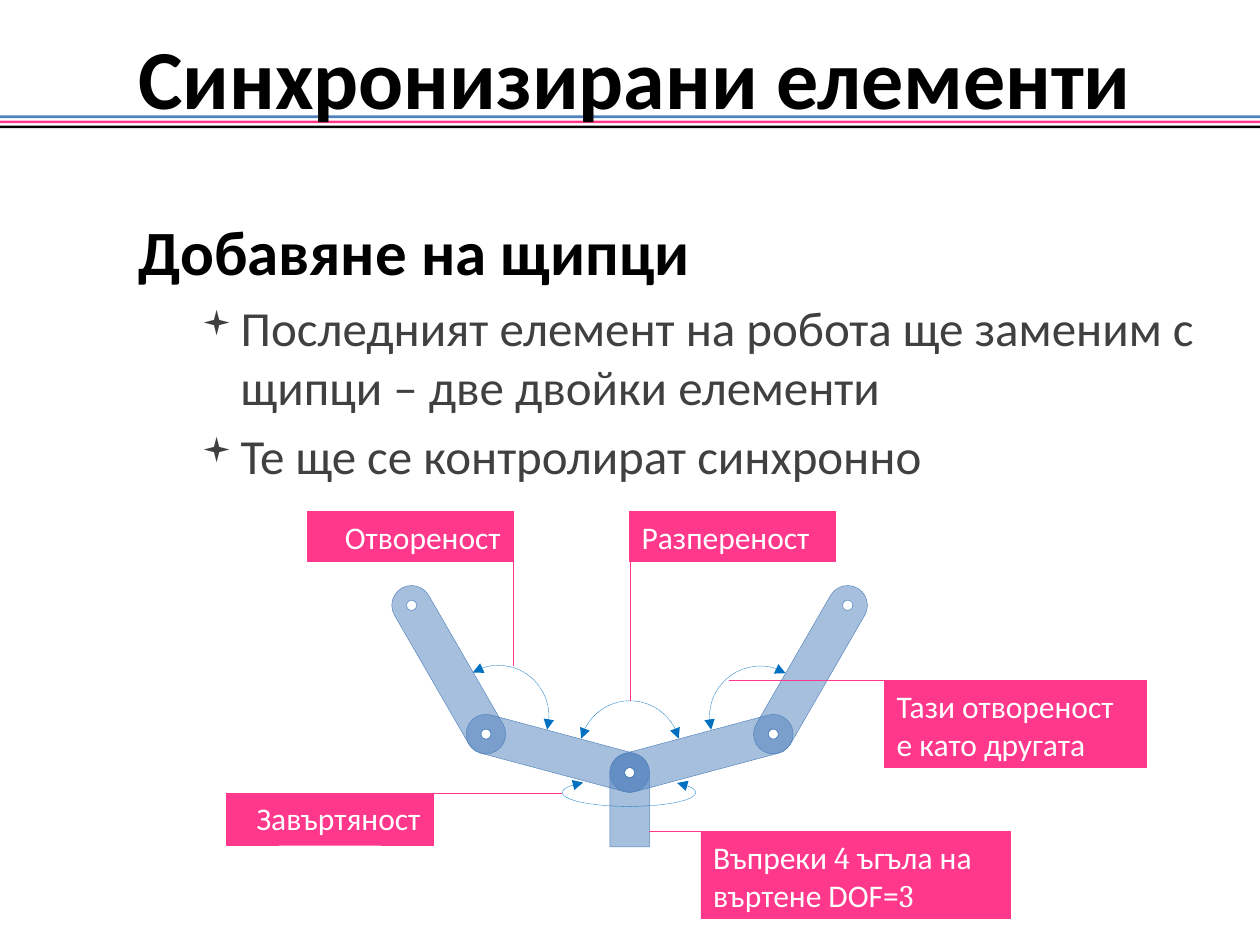
"""Build the slide about synchronised gripper elements."""
import itertools
import math
from typing import NamedTuple

import lxml.etree
import pptx
import pptx.dml.color
import pptx.enum.dml
import pptx.enum.shapes
import pptx.enum.text
import pptx.oxml.ns
import pptx.util

Pt = pptx.util.Pt
RGBColor = pptx.dml.color.RGBColor
qn = pptx.oxml.ns.qn
SHAPES = pptx.enum.shapes.MSO_SHAPE
ALIGN = pptx.enum.text.PP_ALIGN

BLUE = RGBColor(0x4F, 0x81, 0xBD)
PINK = RGBColor(0xFF, 0x38, 0x8C)
BLACK = RGBColor(0, 0, 0)
WHITE = RGBColor(0xFF, 0xFF, 0xFF)
GRAY = RGBColor(0x40, 0x40, 0x40)
ARC_BLUE = RGBColor(0x00, 0x70, 0xC0)

HAIRLINE = 0.25
LINK_LENGTH = 85
LINK_RADIUS = 11.3
HOLE_RADIUS = 2.9
BASE_LENGTH = 42.4

Point = tuple[float, float]


class Link(NamedTuple):
    center: Point
    rotation: float
    width: float = LINK_LENGTH + 2 * LINK_RADIUS
    both_rounded: bool = True


class Arc(NamedTuple):
    left: float
    top: float
    width: float
    height: float
    start: float
    end: float


class Label(NamedTuple):
    text: str
    left: float
    top: float
    width: float
    height: float
    align: ALIGN
    line_start: Point
    line_end: Point


def polar(center: Point, radius: float, angle: float) -> Point:
    """Return the point at a clockwise angle in degrees around a center."""
    turn = math.radians(angle)
    return center[0] + radius * math.cos(turn), center[1] + radius * math.sin(turn)


def format_run(run, size: float, color: RGBColor, bold: bool = False, name: str = "Calibri") -> None:
    """Set the font of a run."""
    run.font.name = name
    run.font.size = Pt(size)
    run.font.bold = bold
    run.font.color.rgb = color


def style_shape(shape, fill: RGBColor, line: RGBColor | None = None) -> None:
    """Give a shape a flat fill and an optional hairline."""
    shape.shadow.inherit = False
    shape.fill.solid()
    shape.fill.fore_color.rgb = fill
    if line is None:
        shape.line.fill.background()
    else:
        shape.line.color.rgb = line
        shape.line.width = Pt(HAIRLINE)


def add_bars(slide) -> None:
    """Draw the three header stripes."""
    for index, color in enumerate((BLUE, PINK, BLACK)):
        bar = slide.shapes.add_shape(SHAPES.RECTANGLE, Pt(-6), Pt(66 + 2.9 * index), Pt(732), Pt(1.5))
        style_shape(bar, color)


def add_title(slide, text: str) -> None:
    """Add the slide title."""
    box = slide.shapes.add_textbox(0, Pt(18), Pt(720), Pt(51))
    text_frame = box.text_frame
    text_frame.word_wrap = True
    text_frame.vertical_anchor = pptx.enum.text.MSO_ANCHOR.MIDDLE
    text_frame.text = text
    paragraph = text_frame.paragraphs[0]
    paragraph._p.get_or_add_pPr().set("marL", str(Pt(72)))
    format_run(paragraph.runs[0], 48, BLACK, True)


def add_body(slide, heading: str, bullets: list[str]) -> None:
    """Add the heading with its bullet list."""
    box = slide.shapes.add_textbox(Pt(72), Pt(96.2), Pt(642), Pt(438))
    text_frame = box.text_frame
    text_frame.word_wrap = True
    text_frame.text = heading
    first = text_frame.paragraphs[0]
    first.line_spacing = 1.5
    format_run(first.runs[0], 36, BLACK, True)
    for text in bullets:
        paragraph = text_frame.add_paragraph()
        paragraph.text = text
        paragraph.level = 1
        paragraph.space_before = Pt(5.6)
        properties = paragraph._p.get_or_add_pPr()
        properties.set("marL", str(Pt(58.5)))
        properties.set("indent", str(Pt(-22.5)))
        color = lxml.etree.SubElement(properties, qn("a:buClr"))
        lxml.etree.SubElement(color, qn("a:srgbClr"), val=str(GRAY))
        lxml.etree.SubElement(properties, qn("a:buSzPct"), val="70000")
        lxml.etree.SubElement(properties, qn("a:buFont"), typeface="Wingdings")
        lxml.etree.SubElement(properties, qn("a:buChar"), char="▪")
        format_run(paragraph.runs[0], 28, GRAY)


def add_point(outline, tag: str, x: float, y: float) -> None:
    """Append a move or a straight segment to an outline."""
    segment = lxml.etree.SubElement(outline, qn(tag))
    lxml.etree.SubElement(segment, qn("a:pt"), x=str(Pt(x)), y=str(Pt(y)))


def add_turn(outline, radius: float, start: int, sweep: int) -> None:
    """Append a circular segment to an outline."""
    size = str(Pt(radius))
    lxml.etree.SubElement(outline, qn("a:arcTo"), wR=size, hR=size,
                          stAng=str(start * 60000), swAng=str(sweep * 60000))


def add_link(slide, link: Link) -> None:
    """Draw a translucent robot link with pivot holes."""
    height = 2 * LINK_RADIUS
    left, top = link.center[0] - link.width / 2, link.center[1] - LINK_RADIUS
    builder = slide.shapes.build_freeform(Pt(left), Pt(top))
    builder.add_line_segments([(Pt(left + link.width), Pt(top)),
                               (Pt(left + link.width), Pt(top + height)), (Pt(left), Pt(top + height))])
    shape = builder.convert_to_shape()
    outline = shape.element.xpath(".//a:path")[0]
    for segment in list(outline):
        outline.remove(segment)
    near = LINK_RADIUS if link.both_rounded else 0
    far = link.width - LINK_RADIUS
    add_point(outline, "a:moveTo", near, 0)
    add_point(outline, "a:lnTo", far, 0)
    add_turn(outline, LINK_RADIUS, 270, 180)
    add_point(outline, "a:lnTo", near, height)
    if link.both_rounded:
        add_turn(outline, LINK_RADIUS, 90, 180)
    lxml.etree.SubElement(outline, qn("a:close"))
    for pivot in (near, far) if link.both_rounded else (far,):
        add_point(outline, "a:moveTo", pivot - HOLE_RADIUS, LINK_RADIUS)
        for start in (180, 0):
            add_turn(outline, HOLE_RADIUS, start, 180)
        lxml.etree.SubElement(outline, qn("a:close"))
    shape.rotation = link.rotation
    style_shape(shape, BLUE, BLUE)
    fill_color = shape.element.xpath("./p:spPr/a:solidFill/a:srgbClr")[0]
    lxml.etree.SubElement(fill_color, qn("a:alpha"), val="50000")


def add_arc(slide, arc: Arc) -> None:
    """Draw a dotted arc with arrowheads at both ends."""
    shape = slide.shapes.add_shape(SHAPES.ARC, *map(Pt, arc[:4]))
    for index, degrees in enumerate((arc.start, arc.end)):
        shape.adjustments[index] = degrees * 0.6
    shape.shadow.inherit = False
    shape.fill.background()
    shape.line.color.rgb = ARC_BLUE
    shape.line.width = Pt(HAIRLINE)
    shape.line.dash_style = pptx.enum.dml.MSO_LINE.ROUND_DOT
    line = shape.element.xpath("./p:spPr/a:ln")[0]
    for tag in ("a:headEnd", "a:tailEnd"):
        lxml.etree.SubElement(line, qn(tag), type="triangle")


def add_label(slide, label: Label) -> None:
    """Draw a label box with its leader line."""
    shape = slide.shapes.add_shape(SHAPES.RECTANGLE, *map(Pt, label[1:5]))
    style_shape(shape, PINK, PINK)
    shape.text_frame.word_wrap = True
    shape.text_frame.vertical_anchor = pptx.enum.text.MSO_ANCHOR.TOP
    paragraph = shape.text_frame.paragraphs[0]
    paragraph.alignment = label.align
    for is_digit, characters in itertools.groupby(label.text, str.isdigit):
        run = paragraph.add_run()
        run.text = "".join(characters)
        format_run(run, 18, WHITE, name="Cambria" if is_digit else "Calibri")
    leader = slide.shapes.add_connector(
        pptx.enum.shapes.MSO_CONNECTOR.STRAIGHT, *map(Pt, label.line_start + label.line_end))
    leader.line.color.rgb = PINK
    leader.line.width = Pt(HAIRLINE)
    lxml.etree.SubElement(leader.element.spPr, qn("a:effectLst"))


def main() -> None:
    """Assemble and save the slide."""
    presentation = pptx.Presentation()
    presentation.slide_width, presentation.slide_height = Pt(720), Pt(540)
    slide = presentation.slides.add_slide(presentation.slide_layouts[6])
    add_bars(slide)
    add_title(slide, "Синхронизирани елементи")
    add_body(slide, "Добавяне на щипци", [
        "Последният елемент на робота ще заменим с щипци – две двойки елементи",
        "Те ще се контролират синхронно"])
    base = (359.8, 441.5)
    add_link(slide, Link((base[0], base[1] + (BASE_LENGTH - LINK_RADIUS) / 2), 270, BASE_LENGTH + LINK_RADIUS, False))
    joints = {angle: polar(base, LINK_LENGTH, angle) for angle in (345, 195)}
    for start, angle, rotation in ((base, 345, 345), (base, 195, 15),
                                   (joints[345], 300, 300), (joints[195], 240, 60)):
        add_link(slide, Link(polar(start, LINK_LENGTH / 2, angle), rotation))
    for arc in (Arc(331.2, 400.5, 57.6, 58.1, 195, 345), Arc(405.5, 380.7, 57.6, 58.1, 165.3, 300.4),
                Arc(256.1, 380.3, 57.6, 58.1, 239.6, 15.4), Arc(321.3, 445, 76.3, 15.8, 348.75, 192.35)):
        add_arc(slide, arc)
    for label in (
        Label("Завъртяност", 129.4, 453.2, 118, 29.7, ALIGN.RIGHT, (129.4, 453.2), (321.1, 453.2)),
        Label("Разпереност", 359.6, 292.2, 117.8, 28.5, ALIGN.LEFT, (360, 292.2), (360, 400.6)),
        Label("Отвореност", 175.5, 292.2, 117.8, 28.5, ALIGN.RIGHT, (293.3, 292.2), (293.3, 380.7)),
        Label("Тази отвореност е като другата", 505.3, 388.9, 150, 49.8, ALIGN.LEFT,
              (655.3, 388.9), (416.5, 388.9)),
        Label("Въпреки 4 ъгъла на въртене DOF=3", 400.5, 475.2, 177, 49.8, ALIGN.LEFT,
              (550.8, 475.2), (370.8, 475.2)),
    ):
        add_label(slide, label)
    presentation.save("out.pptx")


if __name__ == "__main__":
    main()
